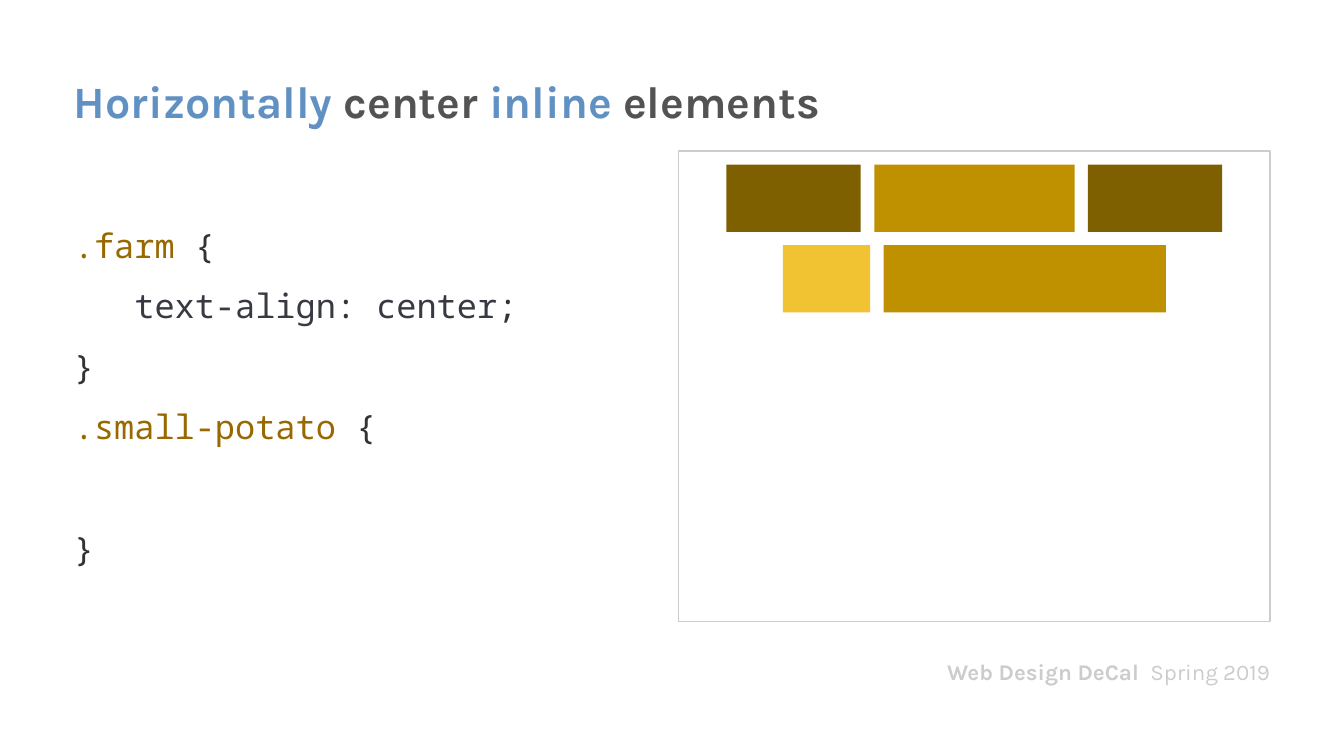
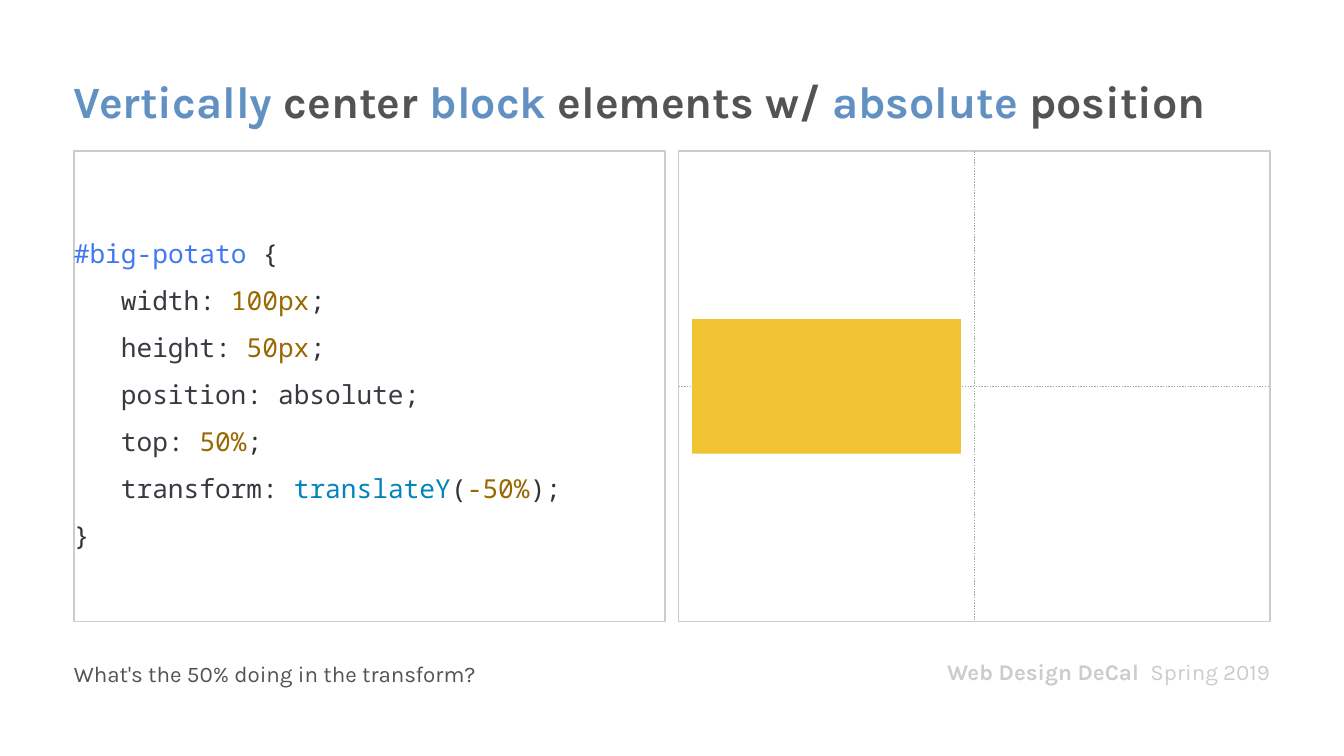
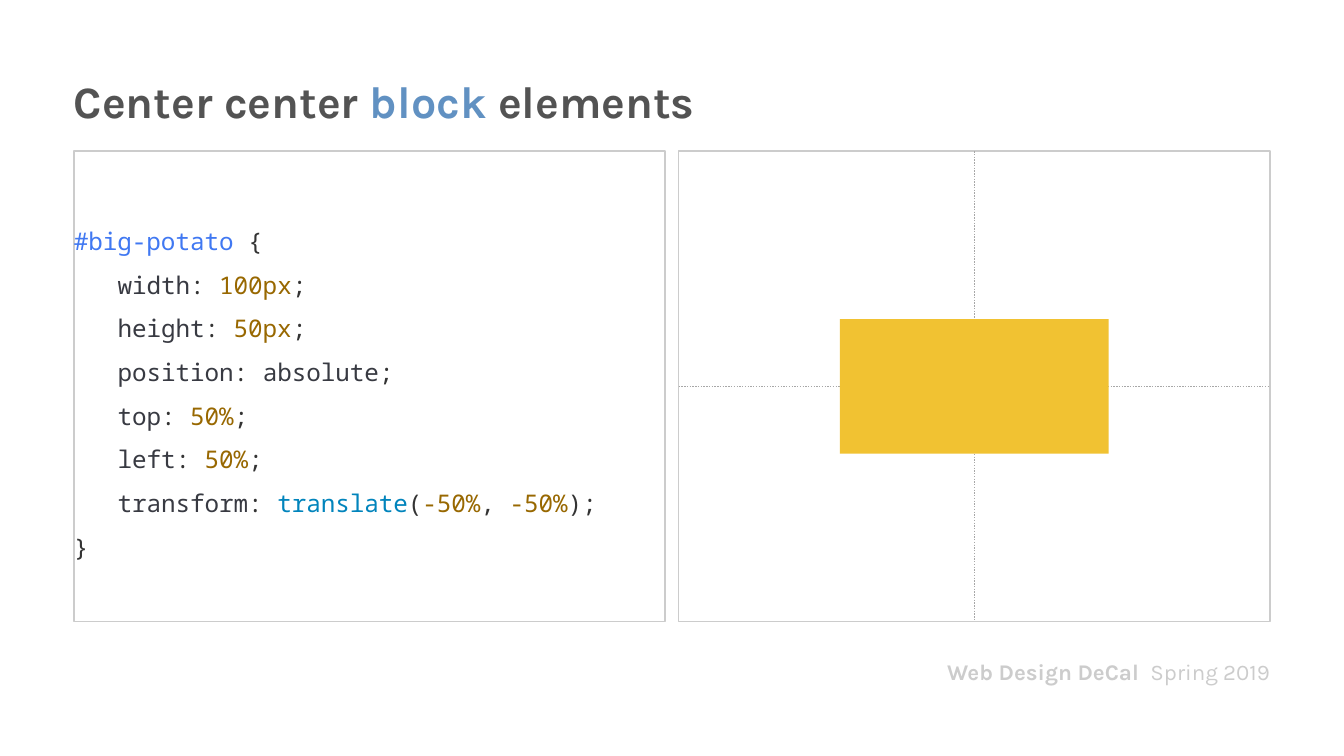
from pptx import Presentation
from pptx.dml.color import RGBColor
from pptx.enum.dml import MSO_LINE
from pptx.enum.shapes import MSO_CONNECTOR, MSO_SHAPE
from pptx.enum.text import MSO_ANCHOR, PP_ALIGN
from pptx.oxml.ns import qn
from pptx.util import Inches, Pt
from lxml import etree

RECT, LINE = MSO_SHAPE.RECTANGLE, MSO_CONNECTOR.STRAIGHT
DOT, MIDDLE = MSO_LINE.ROUND_DOT, MSO_ANCHOR.MIDDLE
LEFT, RIGHT = PP_ALIGN.LEFT, PP_ALIGN.RIGHT

HUES = {
    "head": "535353", "key": "6191C2", "foot": "CCCCCC", "edge": "CCCCCC",
    "axis": "A7A7A7", "mark": "333333", "word": "383A42", "value": "986801",
    "id": "4078F2", "call": "0184BC",
    "dark": "7F6000", "mid": "BF9000", "light": "F1C232",
}
SANS, MONO = "Karla", "Noto Sans Mono"

# Grid: two equal columns between the margins
WIDE, HIGH = 10, 5.625
SIDE, GAP = 0.055 * WIDE, 0.01 * WIDE
COL = (WIDE - 2 * SIDE - GAP) / 2
COLS = [SIDE, SIDE + COL + GAP]
TOP, TALL = 0.2 * HIGH, 3.5
BASE, ROW = TOP + TALL + 0.25, 0.25
MIDX, MIDY = COLS[1] + COL / 2, TOP + TALL / 2


def draw(page, spot, fill=None, edge=None):
    """Add a rectangle; without fill and edge it is a plain text box."""
    spot = [Inches(n) for n in spot]
    if not (fill or edge):
        return page.shapes.add_textbox(*spot)
    shape = page.shapes.add_shape(RECT, *spot)
    shape.shadow.inherit = False
    if fill:
        shape.fill.solid()
        shape.fill.fore_color.rgb = RGBColor.from_string(HUES[fill])
    else:
        shape.fill.background()
    if edge:
        shape.line.color.rgb = RGBColor.from_string(HUES[edge])
        shape.line.width = Pt(0.75)
    else:
        shape.line.fill.background()
    return shape


def put(shape, lines, size, font, bold=(), align=LEFT, space=None):
    """Write lines of (text, hue) parts; bold lists the bold parts."""
    frame = shape.text_frame
    frame.word_wrap = True
    frame.vertical_anchor = MIDDLE
    frame.margin_left = frame.margin_right = 0
    frame.margin_top = frame.margin_bottom = 0
    for i, line in enumerate(lines):
        para = frame.add_paragraph() if i else frame.paragraphs[0]
        para.alignment = align
        para.line_spacing = space
        for j, (text, hue) in enumerate(line):
            run = para.add_run()
            run.text = text
            run.font.size, run.font.name = Pt(size), font
            run.font.bold = j in bold
            run.font.color.rgb = RGBColor.from_string(HUES[hue])
    return frame.paragraphs


# Code lines
OPEN, CLOSE = (" {", "mark"), [("}", "mark")]
COLON, END = (": ", "mark"), (";", "mark")
BIG = [("#big-potato", "id"), OPEN]
SIZE = [[(name, "word"), COLON, (val, "value"), END]
        for name, val in [("width", "100px"), ("height", "50px")]]
PLACE = [("position", "word"), COLON, ("absolute", "word"), END]
HALF = [[(name, "word"), COLON, ("50%", "value"), END]
        for name in ("top", "left")]
SHIFT = [("transform", "word"), COLON]
BACK = ("-50%", "value")

farm = [
    [(".farm", "value"), OPEN],
    [("text-align", "word"), COLON, ("center", "word"), END],
    CLOSE,
    [(".small-potato", "value"), OPEN],
    CLOSE,
]
vert = [BIG, *SIZE, PLACE, HALF[0],
        SHIFT + [("translateY", "call"), ("(", "mark"), BACK, (");", "mark")],
        CLOSE]
both = [BIG, *SIZE, PLACE, *HALF,
        SHIFT + [("translate", "call"), ("(", "mark"), BACK, (", ", "mark"),
                 BACK, (");", "mark")],
        CLOSE]

# Title, code, code size, code frame, left edge of the big block
PAGES = [
    ([("Horizontally", "key"), (" center ", "head"), ("inline", "key"),
      (" elements", "head")], farm, 18, None, None),
    ([("Vertically", "key"), (" center ", "head"), ("block", "key"),
      (" elements w/ ", "head"), ("absolute", "key"), (" position", "head")],
     vert, 14, "edge", COLS[1] + GAP),
    ([("Center center ", "head"), ("block", "key"), (" elements", "head")],
     both, 13, "edge", MIDX - 1),
]

deck = Presentation()
deck.slide_width, deck.slide_height = Inches(WIDE), Inches(HIGH)
pages = []

for title, code, size, edge, left in PAGES:
    page = deck.slides.add_slide(deck.slide_layouts[6])
    pages.append(page)

    # Footer and title
    foot = draw(page, (WIDE - SIDE - 2.9, BASE, 2.9, ROW))
    put(foot, [[("Web Design DeCal  ", "foot"), ("Spring 2019", "foot")]],
        12, SANS, bold=[0], align=RIGHT)
    head = draw(page, (SIDE, 0.5, WIDE - 2 * SIDE, 0.5))
    put(head, [title], 24, SANS, bold=range(len(title)))

    # Code on the left, rules set in by three letters
    card = draw(page, (COLS[0], TOP, COL, TALL), edge=edge)
    for para, line in zip(put(card, code, size, MONO, space=1.5), code):
        if COLON in line:
            props = para._p.get_or_add_pPr()
            props.set("marL", str(Pt(3 * 0.6 * size)))
            props.set("indent", "0")

    # Stage on the right
    draw(page, (COLS[1], TOP, COL, TALL), edge="edge")
    if left is None:
        # Empty rule body: one line of room above the last brace
        para.space_before = Pt(32.7)
        continue

    # Centre lines and the big block
    for ends in [(COLS[1], MIDY, COLS[1] + COL, MIDY),
                 (MIDX, TOP, MIDX, TOP + TALL)]:
        axis = page.shapes.add_connector(LINE, *[Inches(n) for n in ends])
        axis.line.color.rgb = RGBColor.from_string(HUES["axis"])
        axis.line.width = Pt(0.75)
        axis.line.dash_style = DOT
        etree.SubElement(axis._element.spPr, qn("a:effectLst"))
    draw(page, (left, MIDY - 0.5, 2, 1), fill="light")

# Slide 1: centred rows of inline blocks
ROWS = [
    [(1, "dark"), (1.49, "mid"), (1, "dark")],
    [(0.65, "light"), (2.1, "mid")],
]
for i, row in enumerate(ROWS):
    x = MIDX - (sum(w for w, hue in row) + GAP * (len(row) - 1)) / 2
    for w, hue in row:
        draw(pages[0], (x, TOP + GAP + i * (0.5 + GAP), w, 0.5), fill=hue)
        x += w + GAP

# Slide 2: question below the code
ask = draw(pages[1], (SIDE, BASE, 5.9, ROW))
asked = put(ask, [[("What's the 50% doing in the transform?", "head")]],
            12, SANS, space=1.15)
asked[0].space_before = Pt(4)

deck.save("out.pptx")
